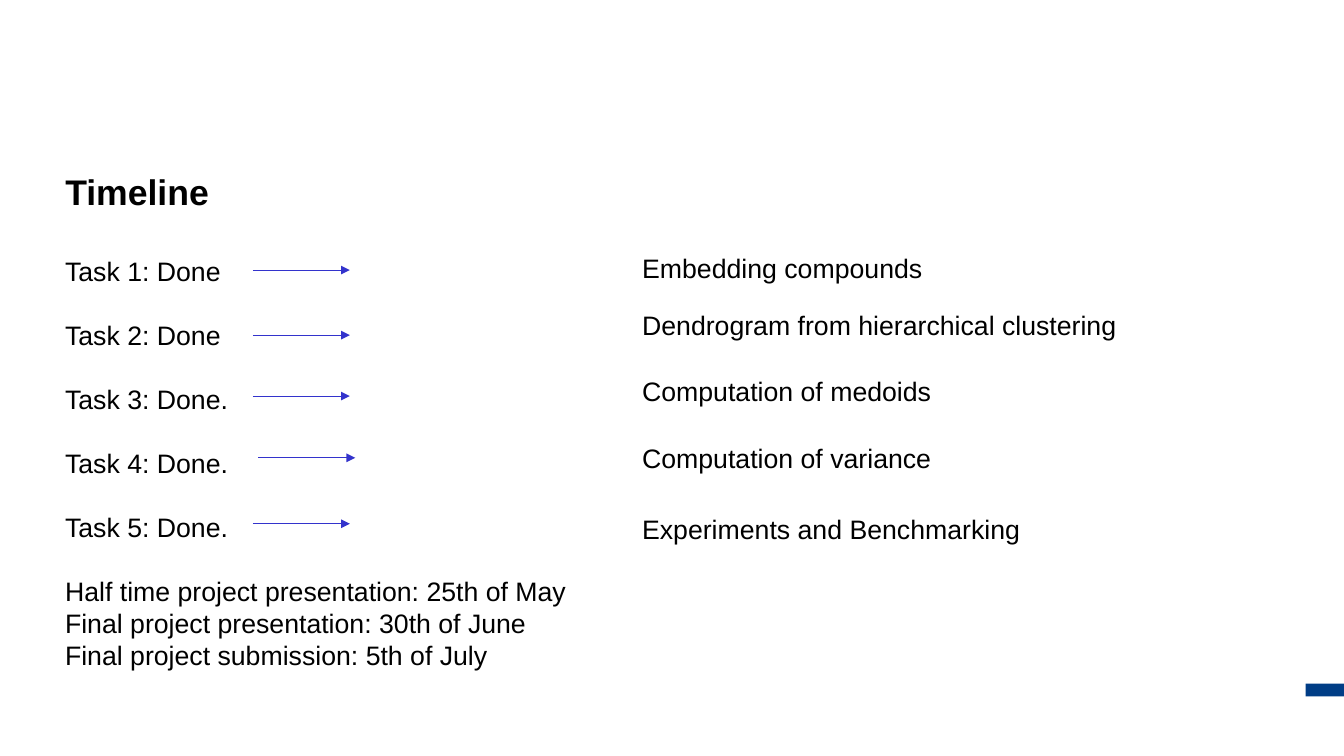
from lxml import etree
from pptx import Presentation
from pptx.enum import shapes, text
from pptx.oxml import ns
from pptx.util import Cm, Pt
from pptx.dml.color import RGBColor

# Content: status, topic, topic top, arrow left, arrow height (cm)
TITLE = "Timeline"
TASKS = [
    ("Task 1: Done", "Embedding compounds", 5.87, 6.02, 6.43),
    ("Task 2: Done", "Dendrogram from hierarchical clustering", 7.24, 6.02, 7.98),
    ("Task 3: Done.", "Computation of medoids", 8.81, 6.02, 9.43),
    ("Task 4: Done.", "Computation of variance", 10.39, 6.15, 10.9),
    ("Task 5: Done.", "Experiments and Benchmarking", 12.09, 6.02, 12.47),
]
DATES = [
    "Half time project presentation: 25th of May",
    "Final project presentation: 30th of June",
    "Final project submission: 5th of July",
]
COLORS = {"text": "000000", "arrow": "3333CC", "bar": "003D86"}
LEFT, RIGHT, WIDE = 1.3, 15.04, 22.83
REACH = 2.31
PITCH = 1.2  # line height per point of text


def color(name):
    return RGBColor.from_string(COLORS[name])


def style(para, size, bold=False):
    font = para.font
    font.name, font.size, font.bold = "Arial", Pt(size), bold
    font.color.rgb = color("text")
    para.alignment = text.PP_ALIGN.LEFT
    para.line_spacing = Pt(size * PITCH)
    para.space_before = para.space_after = Pt(0)


def write(slide, lines, left, top, width, height):
    box = slide.shapes.add_textbox(Cm(left), Cm(top), Cm(width), Cm(height))
    frame = box.text_frame
    frame.word_wrap = True
    frame.text = "\n".join(lines)
    for para in frame.paragraphs:
        style(para, 18)
    return frame


def arrow(slide, left, top):
    line = slide.shapes.add_connector(
        shapes.MSO_CONNECTOR.STRAIGHT, Cm(left), Cm(top), Cm(left + REACH), Cm(top))
    line.line.color.rgb = color("arrow")
    line.line.width = Pt(0.75)
    etree.SubElement(line.line._get_or_add_ln(), ns.qn("a:tailEnd"), type="triangle")
    etree.SubElement(line._element.spPr, ns.qn("a:effectLst"))


def main():
    deck = Presentation()
    deck.slide_width, deck.slide_height = Cm(32), Cm(18)
    slide = deck.slides.add_slide(deck.slide_layouts[5])

    # Title
    title = slide.shapes.title
    title.left, title.top, title.width, title.height = Cm(LEFT), Cm(3.91), Cm(WIDE), Cm(1.3)
    title.text_frame.text = TITLE
    title.text_frame.vertical_anchor = text.MSO_ANCHOR.TOP
    style(title.text_frame.paragraphs[0], 24, True)

    # Corner bar
    bar = slide.shapes.add_shape(
        shapes.MSO_SHAPE.RECTANGLE, Cm(31.09), Cm(16.28), Cm(0.91), Cm(0.3))
    bar.shadow.inherit = False
    bar.fill.solid()
    bar.fill.fore_color.rgb = color("bar")
    bar.line.fill.background()

    # Status list, one line of space after each task, then the dates
    frame = write(slide, [task[0] for task in TASKS] + DATES, LEFT, 5.94, WIDE, 10.16)
    for para in frame.paragraphs[:len(TASKS)]:
        para.space_after = Pt(18 * PITCH)

    # Topics and arrows
    for _, topic, top, start, level in TASKS:
        write(slide, [topic], RIGHT, top, 15.5, 1.02)
        arrow(slide, start, level)

    deck.save("out.pptx")


if __name__ == "__main__":
    main()
